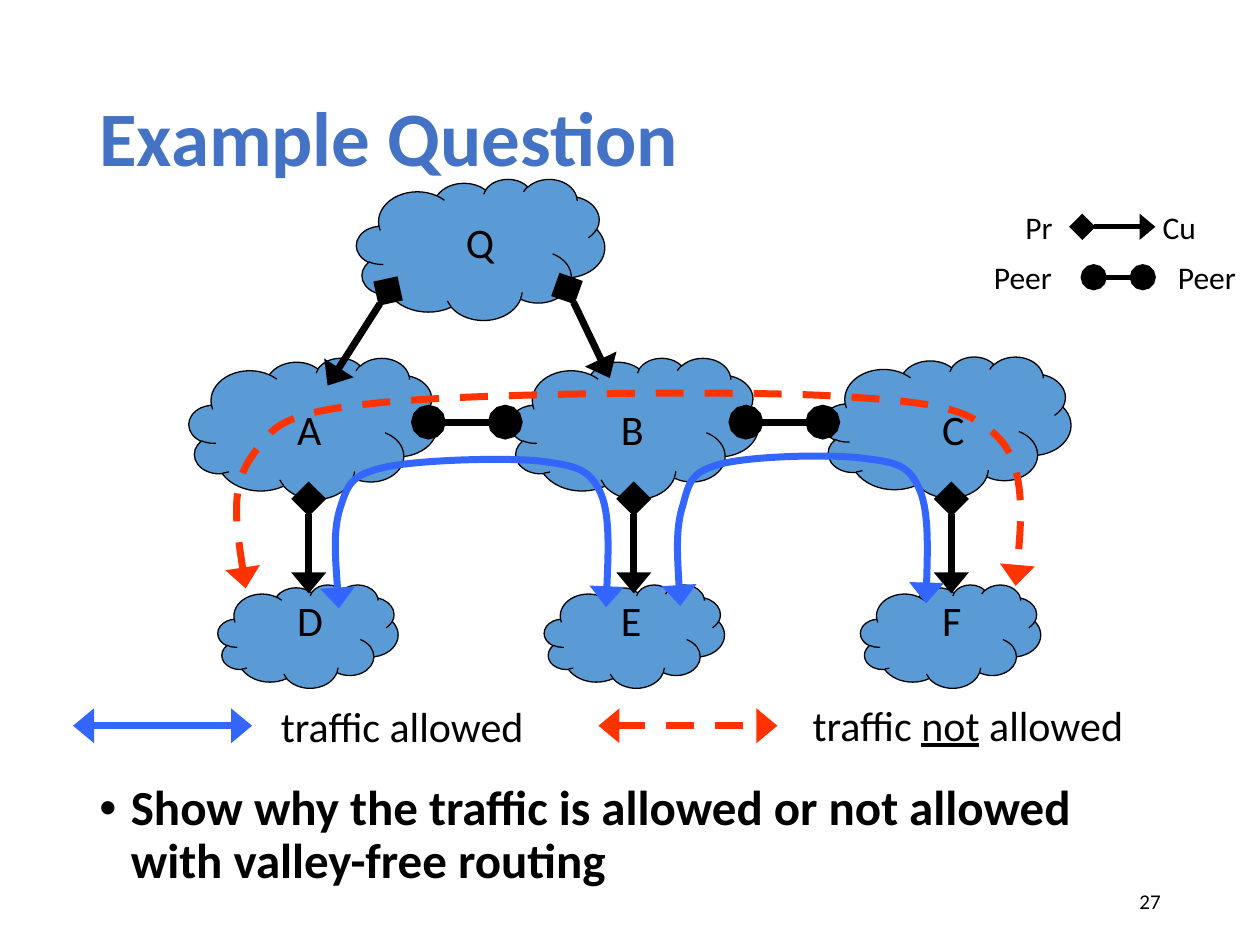
from pptx import Presentation, util as u
from pptx.dml.color import RGBColor
from pptx.enum import dml, shapes, text
from pptx.oxml import ns, xmlchemy as xc

Inches = u.Inches
COLORS = {"title": "4472C4", "ink": "000000", "cloud": "5B9BD5",
          "good": "3366FF", "bad": "FF3300"}

deck = Presentation()
deck.slide_width, deck.slide_height = Inches(10), Inches(7.5)
slide = deck.slides.add_slide(deck.slide_layouts[6])
items = slide.shapes


def write(words, left, top, width, height, size, color="ink", wrap=False):
    """Add a text box and return its frame and first paragraph."""
    box = items.add_textbox(*map(Inches, (left, top, width, height)))
    frame = box.text_frame
    frame.word_wrap = wrap
    para = frame.paragraphs[0]
    para.text = words
    para.font.size = u.Pt(size)
    para.font.name = "Calibri"
    para.font.color.rgb = RGBColor.from_string(COLORS[color])
    return frame, para


def stroke(shape, color, head, tail, width=4):
    """Style a line or curve and give it end marks."""
    line = shape.line
    line.color.rgb = RGBColor.from_string(COLORS[color])
    line.width = u.Pt(width)
    if color == "bad":
        line.dash_style = dml.MSO_LINE.DASH
    props = shape._element.spPr
    for tag, kind in (("a:headEnd", head), ("a:tailEnd", tail)):
        mark = xc.OxmlElement(tag)
        mark.set("type", kind)
        mark.set("w", "lg")
        mark.set("len", "med" if kind == "triangle" else "lg")
        props.find(ns.qn("a:ln")).append(mark)
    if props.find(ns.qn("a:effectLst")) is None:
        props.append(xc.OxmlElement("a:effectLst"))


# Title, task and page number
frame, para = write("Example Question", 0.69, 0.4, 8.62, 1.45, 44, "title", True)
frame.vertical_anchor = text.MSO_ANCHOR.MIDDLE
para.font.bold = True
para.line_spacing = 0.9

frame, para = write("Show why the traffic is allowed or not allowed with "
                    "valley-free routing", 0.69, 6.17, 8.62, 1.06, 28, wrap=True)
para.font.bold = True
para.line_spacing = 0.9
para.space_before = u.Pt(10)
props = para._p.get_or_add_pPr()
props.set("marL", str(Inches(0.25)))
props.set("indent", str(-Inches(0.25)))
font = xc.OxmlElement("a:buFont")
font.set("typeface", "Arial")
bullet = xc.OxmlElement("a:buChar")
bullet.set("char", "•")
for node in (font, bullet):
    props.insert_element_before(node, "a:tabLst", "a:defRPr", "a:extLst")

frame, para = write("27", 7.06, 6.95, 2.25, 0.4, 12, wrap=True)
frame.vertical_anchor = text.MSO_ANCHOR.MIDDLE
para.alignment = text.PP_ALIGN.RIGHT

# Network clouds
BIG, SMALL = (1.97, 1.12), (1.43, 0.82)
clouds = [(1.73, 4.64, SMALL), (4.32, 4.64, SMALL), (6.83, 4.64, SMALL),
          (4.05, 2.84, BIG), (6.53, 2.83, BIG), (1.5, 2.84, BIG), (2.83, 1.42, BIG)]
for left, top, size in clouds:
    cloud = items.add_shape(shapes.MSO_SHAPE.CLOUD, *map(Inches, (left, top, *size)))
    cloud.shadow.inherit = False
    cloud.fill.solid()
    cloud.fill.fore_color.rgb = RGBColor.from_string(COLORS["cloud"])
    cloud.line.color.rgb = RGBColor.from_string(COLORS["ink"])
    cloud.line.width = u.Pt(0.75)

# Links between networks, then the keys
PEER, SELL, FLOW = ("oval", "oval"), ("diamond", "triangle"), ("triangle", "triangle")
links = [(x, 3.35, x + 0.61, 3.35, PEER, "ink", 4) for x in (3.4, 5.92)]
links += [(x, 3.96, x, 4.71, SELL, "ink", 4) for x in (2.45, 5.03, 7.55)]
links += [(3.08, 2.31, 2.6, 3.06, SELL, "ink", 4),
          (4.5, 2.29, 4.84, 3, SELL, "ink", 4),
          (8.59, 1.8, 9.17, 1.8, SELL, "ink", 3),
          (8.68, 2.2, 9.07, 2.2, PEER, "ink", 3),
          (0.58, 5.76, 2, 5.76, FLOW, "good", 4),
          (4.75, 5.76, 6.17, 5.76, FLOW, "bad", 4)]
for *ends, marks, color, width in links:
    link = items.add_connector(shapes.MSO_CONNECTOR.STRAIGHT, *map(Inches, ends))
    stroke(link, color, *marks, width)

# Labels
for row, top in (("ABC", 3.15), ("DEF", 4.67)):
    for name, left in zip(row, (2.26, 4.83, 7.38)):
        write(name, left, top, 0.37, 0.37, 24)
write("Q", 3.6, 1.67, 0.4, 0.5, 24)
for name, left, top, width in (("Pr", 8.04, 1.6, 0.47), ("Cu", 9.13, 1.6, 0.54),
                               ("Peer", 7.79, 2, 0.75), ("Peer", 9.25, 2, 0.75)):
    write(name, left, top, width, 0.4, 18)
write("traffic allowed", 2.13, 5.51, 2.25, 0.51, 24)
frame, para = write("traffic ", 6.35, 5.5, 2.81, 0.51, 24)
run = para.add_run()
run.text = "not"
run.font.underline = True
para.add_run().text = " allowed"

# Traffic routes: a start point, then three points for each Bezier curve
routes = [
    ("good", [(2.69, 4.83), (2.67, 4.53), (2.64, 4.22), (2.7, 4.03),
              (2.76, 3.85), (2.78, 3.77), (3.05, 3.71),
              (3.31, 3.65), (4.01, 3.63), (4.29, 3.66),
              (4.58, 3.7), (4.68, 3.72), (4.77, 3.92),
              (4.85, 4.11), (4.81, 4.82), (4.81, 4.82)]),
    ("good", [(5.4, 4.81), (5.38, 4.5), (5.36, 4.19), (5.42, 4.01),
              (5.47, 3.82), (5.49, 3.74), (5.73, 3.68),
              (5.97, 3.62), (6.61, 3.6), (6.87, 3.64),
              (7.13, 3.67), (7.22, 3.7), (7.3, 3.89),
              (7.38, 4.08), (7.35, 4.79), (7.35, 4.79)]),
    ("bad", [(1.95, 4.67), (1.89, 4.27), (1.82, 3.87), (2, 3.62),
             (2.17, 3.38), (2.22, 3.28), (2.98, 3.2),
             (3.74, 3.12), (5.73, 3.1), (6.56, 3.14),
             (7.38, 3.19), (7.67, 3.22), (7.92, 3.47),
             (8.17, 3.72), (8.06, 4.65), (8.06, 4.65)]),
]
for color, points in routes:
    start, *rest = [(Inches(x), Inches(y)) for x, y in points]
    pen = items.build_freeform(*start)
    pen.add_line_segments(rest, close=False)
    route = pen.convert_to_shape()
    route.shadow.inherit = False
    route.fill.background()
    steps = list(route._element.iter(ns.qn("a:lnTo")))
    for first in range(0, len(steps), 3):
        curve = xc.OxmlElement("a:cubicBezTo")
        steps[first].addprevious(curve)
        for step in steps[first:first + 3]:
            curve.append(step[0])
            step.getparent().remove(step)
    stroke(route, color, *FLOW)

deck.save("out.pptx")
